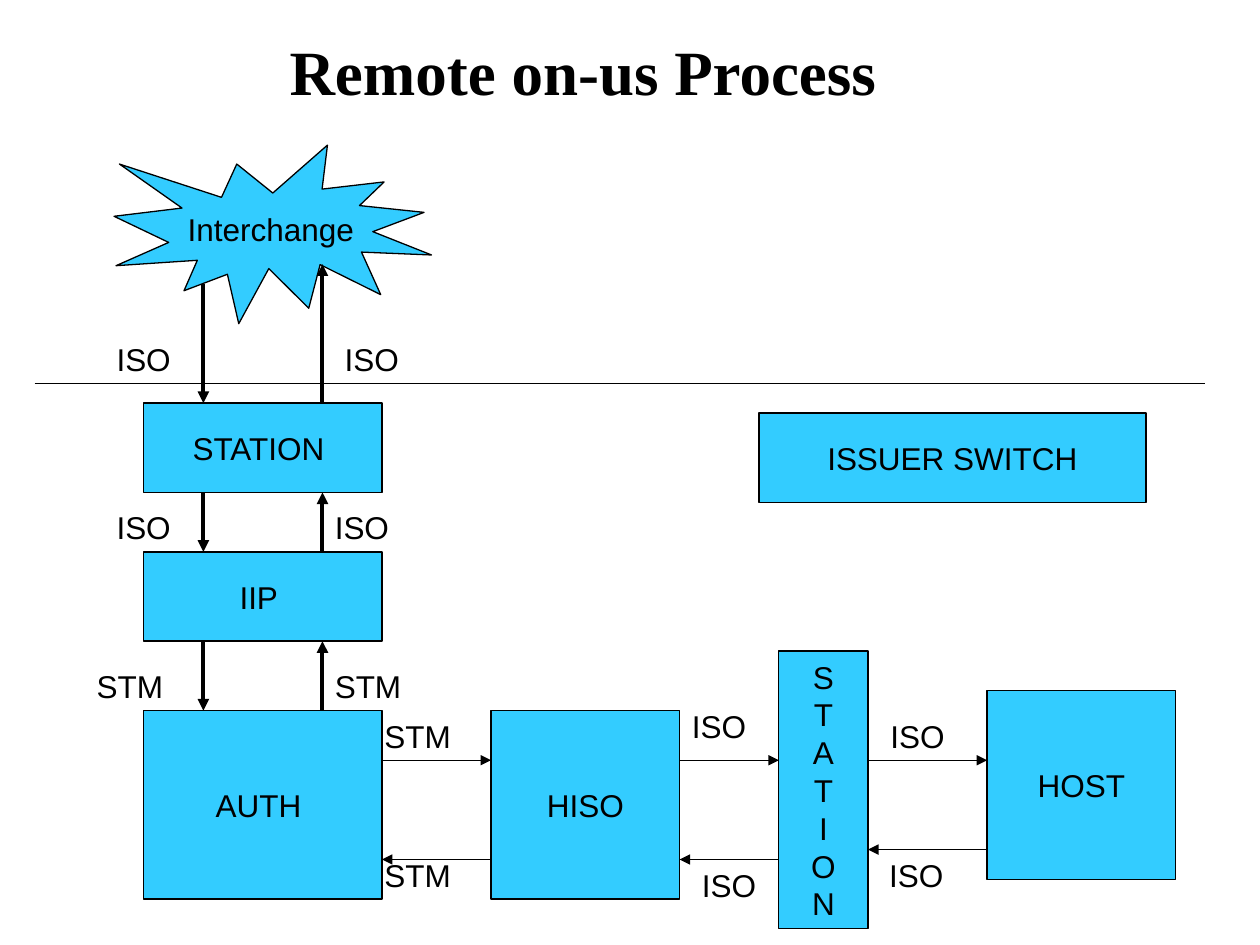
from typing import NamedTuple

from lxml import etree
from pptx import Presentation
from pptx import util as u
from pptx.dml.color import RGBColor
from pptx.enum import shapes, text
from pptx.oxml import ns

WIDE, HIGH = 10, 7.5
CELL = WIDE / 127
LEFT, TOP = 0.5, 0.63
INK, SKY = "000000", "33CCFF"
KIND = shapes.MSO_SHAPE
MID, NEAR = text.PP_ALIGN.CENTER, text.PP_ALIGN.LEFT
BODY = {"size": u.Pt(18), "name": "Arial", "bold": False}
HEAD = {"size": u.Pt(36), "name": "Times New Roman", "bold": True}
FIT = {
    "margin_left": u.Inches(0.1), "margin_right": u.Inches(0.1),
    "margin_top": u.Inches(0.05), "margin_bottom": u.Inches(0.05),
}
LOOSE = FIT | {"word_wrap": False, "vertical_anchor": text.MSO_ANCHOR.MIDDLE}
GROW = FIT | {
    "word_wrap": True, "vertical_anchor": text.MSO_ANCHOR.TOP,
    "auto_size": text.MSO_AUTO_SIZE.SHAPE_TO_FIT_TEXT,
}


class Node(NamedTuple):
    words: str
    col: float
    row: float
    cols: float
    rows: float
    kind: int = KIND.RECTANGLE


class Label(NamedTuple):
    words: str
    col: float
    row: float
    cols: float = 11.5


class Link(NamedTuple):
    col: float
    row: float
    end: float
    last: float
    width: float = 0.75
    tip: bool = True


NODES = [
    Node("Interchange", 11, 14, 32, 18, KIND.EXPLOSION1),
    Node("STATION ", 14, 40, 24, 9),
    Node("IIP ", 14, 55, 24, 9),
    Node("AUTH ", 14, 71, 24, 19),
    Node("HISO", 49, 71, 19, 19),
    Node("HOST", 99, 69, 19, 19),
    Node("\n".join("STATION"), 78, 65, 9, 28),
]
ISSUER = Node("ISSUER SWITCH", 76, 41, 39, 9, KIND.FLOWCHART_PROCESS)

DOWN, UP = 20, 32
FALLS = [(28, 40), (49, 55), (64, 71)]
RISES = [(40, 26), (55, 49), (71, 64)]
GAPS = [(38, 49, 86), (68, 78, 86), (87, 99, 85)]
LINKS = [
    *(Link(DOWN, a, DOWN, b, 2.25) for a, b in FALLS),
    *(Link(UP, a, UP, b, 2.25) for a, b in RISES),
    *(Link(a, 76, b, 76) for a, b, _ in GAPS),
    *(Link(b, row, a, row) for a, b, row in GAPS),
]
RULE = Link(3, 38, 121, 38, tip=False)

LABELS = [
    Label("ISO", 10, 33), Label("ISO", 33, 33),
    Label("ISO", 10, 50), Label("ISO", 32, 50),
    Label("STM", 8, 66), Label("STM", 32, 66, 12),
    Label("STM", 37, 71), Label("STM", 37, 85, 13),
    Label("ISO", 68, 70), Label("ISO", 69, 86, 14),
    Label("ISO", 88, 71, 12), Label(" ISO", 87, 85, 12),
]


def tint(code: str) -> RGBColor:
    return RGBColor.from_string(code)


def place(col: float, row: float) -> tuple:
    return u.Inches((col + LEFT) * CELL), u.Inches((row + TOP) * CELL)


def span(count: float) -> int:
    return u.Inches(count * CELL)


def apply(item, form: dict) -> None:
    for key, val in form.items():
        setattr(item, key, val)


def write(frame, words: str, form: dict, font: dict, align) -> None:
    frame.text = words
    apply(frame, form)
    for para in frame.paragraphs:
        para.alignment = align
        apply(para.font, font)
        para.font.color.rgb = tint(INK)


def draw_title(slide, words: str) -> None:
    title = slide.shapes.title
    left, top = place(20, 2)
    apply(title, {"left": left, "top": top, "width": span(76.5), "height": span(9)})
    write(title.text_frame, words, GROW, HEAD, MID)


def draw_node(slide, node: Node) -> None:
    box = slide.shapes.add_shape(
        node.kind, *place(node.col, node.row), span(node.cols), span(node.rows))
    box.shadow.inherit = False
    box.fill.solid()
    box.fill.fore_color.rgb = tint(SKY)
    box.line.color.rgb = tint(INK)
    box.line.width = u.Pt(0.75)
    write(box.text_frame, node.words, LOOSE, BODY, MID)


def draw_link(slide, link: Link) -> None:
    wire = slide.shapes.add_connector(
        shapes.MSO_CONNECTOR.STRAIGHT,
        *place(link.col, link.row), *place(link.end, link.last))
    wire.line.color.rgb = tint(INK)
    wire.line.width = u.Pt(link.width)
    props = wire.element.spPr
    if link.tip:
        stroke = props.find(ns.qn("a:ln"))
        etree.SubElement(stroke, ns.qn("a:tailEnd"), type="triangle")
    etree.SubElement(props, ns.qn("a:effectLst"))


def draw_label(slide, label: Label) -> None:
    box = slide.shapes.add_textbox(
        *place(label.col, label.row), span(label.cols), span(5))
    write(box.text_frame, label.words, GROW, BODY, NEAR)


def main() -> None:
    deck = Presentation()
    apply(deck, {"slide_width": u.Inches(WIDE), "slide_height": u.Inches(HIGH)})
    slide = deck.slides.add_slide(deck.slide_layouts[5])
    draw_title(slide, "Remote on-us Process")
    for node in NODES:
        draw_node(slide, node)
    for link in LINKS:
        draw_link(slide, link)
    for label in LABELS:
        draw_label(slide, label)
    draw_link(slide, RULE)
    draw_node(slide, ISSUER)
    deck.save("out.pptx")


if __name__ == "__main__":
    main()
